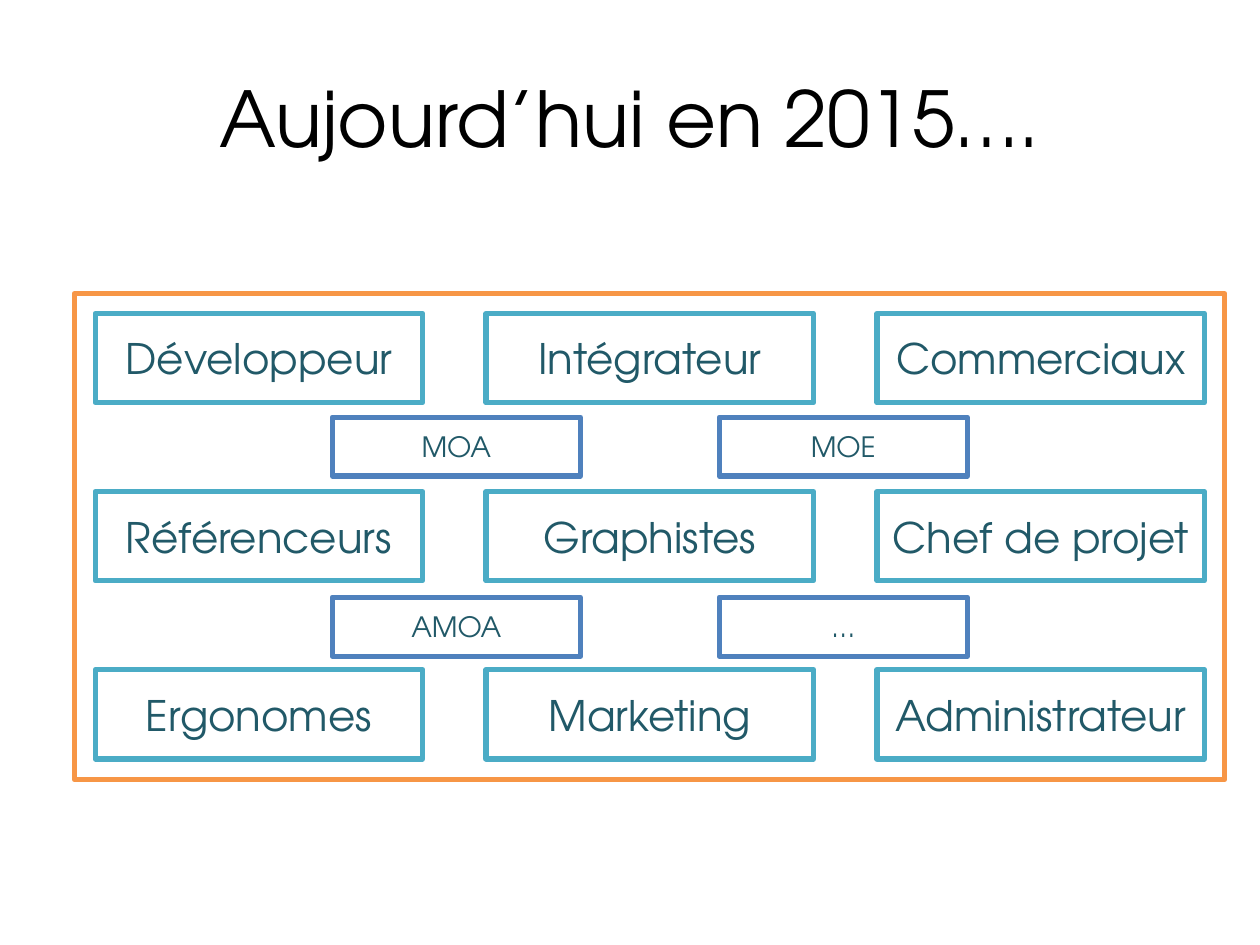
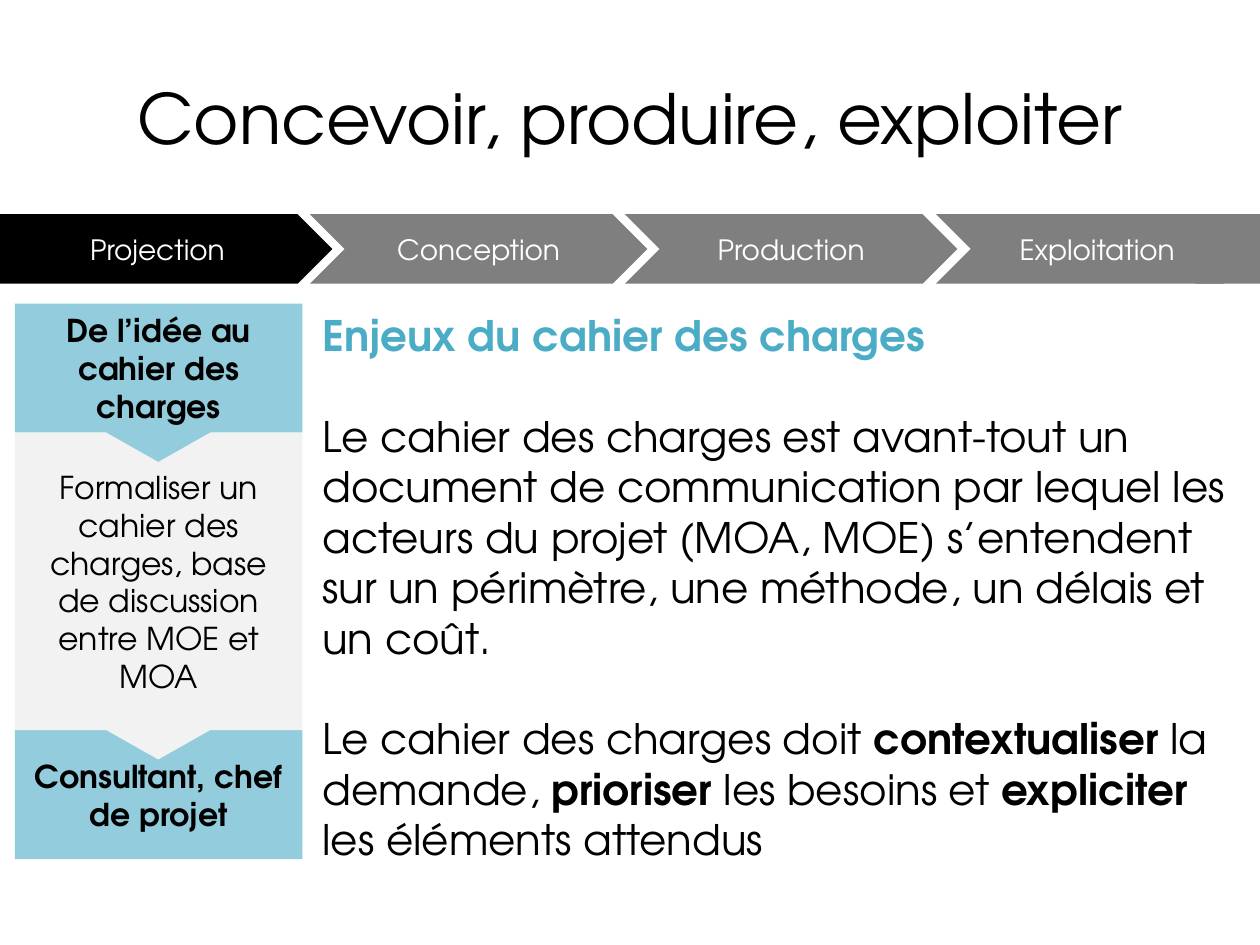
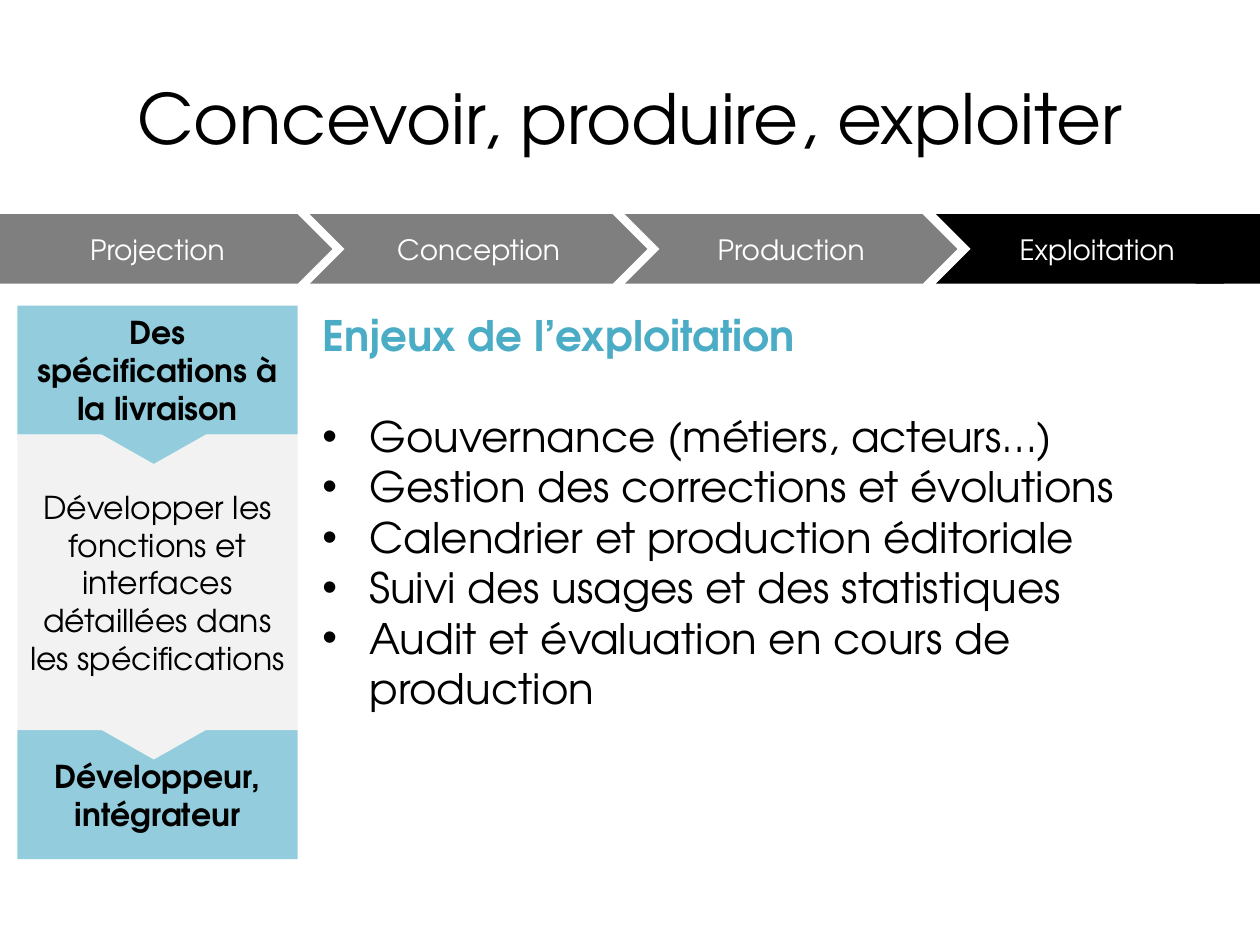
from lxml.etree import SubElement
from pptx import Presentation
from pptx.dml.color import RGBColor
from pptx.enum.shapes import MSO_SHAPE
from pptx.enum.text import MSO_ANCHOR, PP_ALIGN
from pptx.oxml.ns import qn
from pptx.util import Cm, Pt

FONT = "TeX Gyre Adventor"
BLACK, WHITE, GREY, PALE_GREY = "000000", "FFFFFF", "7F7F7F", "F2F2F2"
TEAL, DARK_TEAL, LIGHT_TEAL = "4BACC6", "215968", "93CDDD"
BLUE, ORANGE = "4F81BD", "F79646"

TITLE_BOX = (1.27, 0.76, 22.86, 3.18)
BAND_BOX = (0, 4.32, 25.4, 1.4)
FRAME_BOX = (1.5, 5.92, 23.19, 9.8)
BODY_BOX = (6.25, 6.12, 18.85, 12.06)

LARGE_ROLES = [
    ["Développeur", "Intégrateur", "Commerciaux"],
    ["Référenceurs", "Graphistes", "Chef de projet"],
    ["Ergonomes", "Marketing", "Administrateur"],
]
SMALL_ROLES = [["MOA", "MOE"], ["AMOA", "…"]]
PHASES = [  # name, left, width
    ("Projection", 0, 6.7),
    ("Conception", 6.25, 6.8),
    ("Production", 12.6, 6.7),
    ("Exploitation", 18.87, 6.5),
]
BLANK_LINE = Pt(28.8)


def color(value):
    return RGBColor.from_string(value)


def lengths(box):
    return [Cm(value) for value in box]


def set_format(target, values):
    for name, value in values.items():
        setattr(target, name, value)


def add_run(paragraph, text, size, text_color, bold=False):
    run = paragraph.add_run()
    run.text = text
    set_format(run.font, {"name": FONT, "size": Pt(size), "bold": bold})
    run.font.color.rgb = color(text_color)


def write_centred(shape, text, size, text_color, bold=False):
    set_format(shape.text_frame, {"word_wrap": True, "vertical_anchor": MSO_ANCHOR.MIDDLE})
    paragraph = shape.text_frame.paragraphs[0]
    paragraph.alignment = PP_ALIGN.CENTER
    add_run(paragraph, text, size, text_color, bold)


def add_block(slide, kind, box, fill=None, line=None):
    """Add a preset shape with a plain fill, or an outline 3 points wide."""
    shape = slide.shapes.add_shape(kind, *lengths(box))
    shape.shadow.inherit = False
    if fill:
        shape.fill.solid()
        shape.fill.fore_color.rgb = color(fill)
    else:
        shape.fill.background()
    if line:
        shape.line.color.rgb = color(line)
        shape.line.width = Pt(3)
    else:
        shape.line.fill.background()
    return shape


def add_title(slide, text, size):
    write_centred(slide.shapes.add_textbox(*lengths(TITLE_BOX)), text, size, BLACK)


def add_role_grid(slide, roles, origin, pitch, size, line, font_size):
    for row, names in enumerate(roles):
        for column, name in enumerate(names):
            box = (origin[0] + column * pitch[0], origin[1] + row * pitch[1], *size)
            shape = add_block(slide, MSO_SHAPE.RECTANGLE, box, line=line)
            write_centred(shape, name, font_size, DARK_TEAL)


def add_roles(slide, box):
    left, top = box[:2]
    add_role_grid(slide, LARGE_ROLES, (left + 0.42, top + 0.4), (7.88, 3.59),
                  (6.6, 1.8), TEAL, 24)
    add_role_grid(slide, SMALL_ROLES, (left + 5.2, top + 2.49), (7.8, 3.63),
                  (5, 1.19), BLUE, 16)
    add_block(slide, MSO_SHAPE.RECTANGLE, box, line=ORANGE)


def add_phase_band(slide, box, current):
    left, top, width, height = box
    for index, (name, offset, phase_width) in enumerate(PHASES):
        kind = MSO_SHAPE.CHEVRON if index else MSO_SHAPE.PENTAGON
        fill = BLACK if name == current else GREY
        shape = add_block(slide, kind, (left + offset, top, phase_width, height), fill)
        write_centred(shape, name, 16, WHITE)
    end_width = 1.3
    add_block(slide, MSO_SHAPE.RECTANGLE,
              (left + width - end_width, top, end_width, height), fill)


def add_step_column(slide, box, pointer_inset, texts):
    """Stack three steps from the bottom up, each pointing into the one below."""
    left, top, width, height = box
    end_height, pointer_height, pointer_depth = 2.6, 0.99, 0.59
    middle_height = height - 2 * end_height
    bottom = top + height
    steps = zip(reversed(texts), (end_height, middle_height, end_height),
                (LIGHT_TEAL, PALE_GREY, LIGHT_TEAL))
    for index, (text, step_height, fill) in enumerate(steps):
        if index:
            pointer_top = bottom + pointer_depth - pointer_height
            pointer = add_block(slide, MSO_SHAPE.ISOSCELES_TRIANGLE,
                                (left + pointer_inset, pointer_top, 3.5, pointer_height), fill)
            pointer.rotation = 180
        bottom -= step_height
        shape = add_block(slide, MSO_SHAPE.RECTANGLE, (left, bottom, width, step_height), fill)
        write_centred(shape, text, 18, BLACK, bold=fill == LIGHT_TEAL)


def add_bullet(paragraph):
    properties = paragraph._p.get_or_add_pPr()
    properties.set("marL", str(Cm(0.95)))
    properties.set("indent", str(-Cm(0.95)))
    SubElement(properties, qn("a:buFont")).set("typeface", "Arial")
    SubElement(properties, qn("a:buChar")).set("char", "•")


def add_body(slide, box, heading, paragraphs, bulleted=False):
    """Write a heading and paragraphs, each a list of runs where odd ones are bold."""
    frame = slide.shapes.add_textbox(*lengths(box)).text_frame
    frame.word_wrap = True
    add_run(frame.paragraphs[0], heading, 24, TEAL, bold=True)
    for index, runs in enumerate(paragraphs):
        paragraph = frame.add_paragraph()
        if bulleted:
            add_bullet(paragraph)
        if index == 0 or not bulleted:
            paragraph.space_before = BLANK_LINE
        for position, text in enumerate(runs):
            add_run(paragraph, text, 24, BLACK, bold=position % 2 == 1)


def add_phase_slide(slide, phase, column_box, pointer_inset, steps, heading, paragraphs,
                    bulleted=False):
    add_step_column(slide, column_box, pointer_inset, steps)
    add_title(slide, "Concevoir, produire, exploiter", 39.6)
    add_phase_band(slide, BAND_BOX, phase)
    add_body(slide, BODY_BOX, heading, paragraphs, bulleted)


def main():
    presentation = Presentation()
    set_format(presentation, {"slide_width": Cm(25.4), "slide_height": Cm(19.05)})
    roles, projection, exploitation = [
        presentation.slides.add_slide(presentation.slide_layouts[6]) for _ in range(3)
    ]

    add_title(roles, "Aujourd’hui en 2015….", 44)
    add_roles(roles, FRAME_BOX)

    add_phase_slide(
        projection, "Projection", (0.3, 6.12, 5.8, 11.2), 1.14,
        ["De l’idée au cahier des charges",
         "Formaliser un cahier des charges, base de discussion entre MOE et MOA",
         "Consultant, chef de projet"],
        "Enjeux du cahier des charges",
        [["Le cahier des charges est avant-tout un document de communication par lequel "
          "les acteurs du projet (MOA, MOE) s’entendent sur un périmètre, une méthode, "
          "un délais et un coût."],
         ["Le cahier des charges doit ", "contextualiser ", "la demande, ", "prioriser ",
          "les besoins et ", "expliciter ", "les éléments attendus"]],
    )
    add_phase_slide(
        exploitation, "Exploitation", (0.35, 6.16, 5.65, 11.16), 1,
        ["Des spécifications à la livraison",
         "Développer les fonctions et interfaces détaillées dans les spécifications",
         "Développeur, intégrateur"],
        "Enjeux de l’exploitation",
        [["Gouvernance (métiers, acteurs…)"],
         ["Gestion des corrections et évolutions"],
         ["Calendrier et production éditoriale"],
         ["Suivi des usages et des statistiques"],
         ["Audit et évaluation en cours de production"]],
        bulleted=True,
    )
    presentation.save("out.pptx")


if __name__ == "__main__":
    main()
